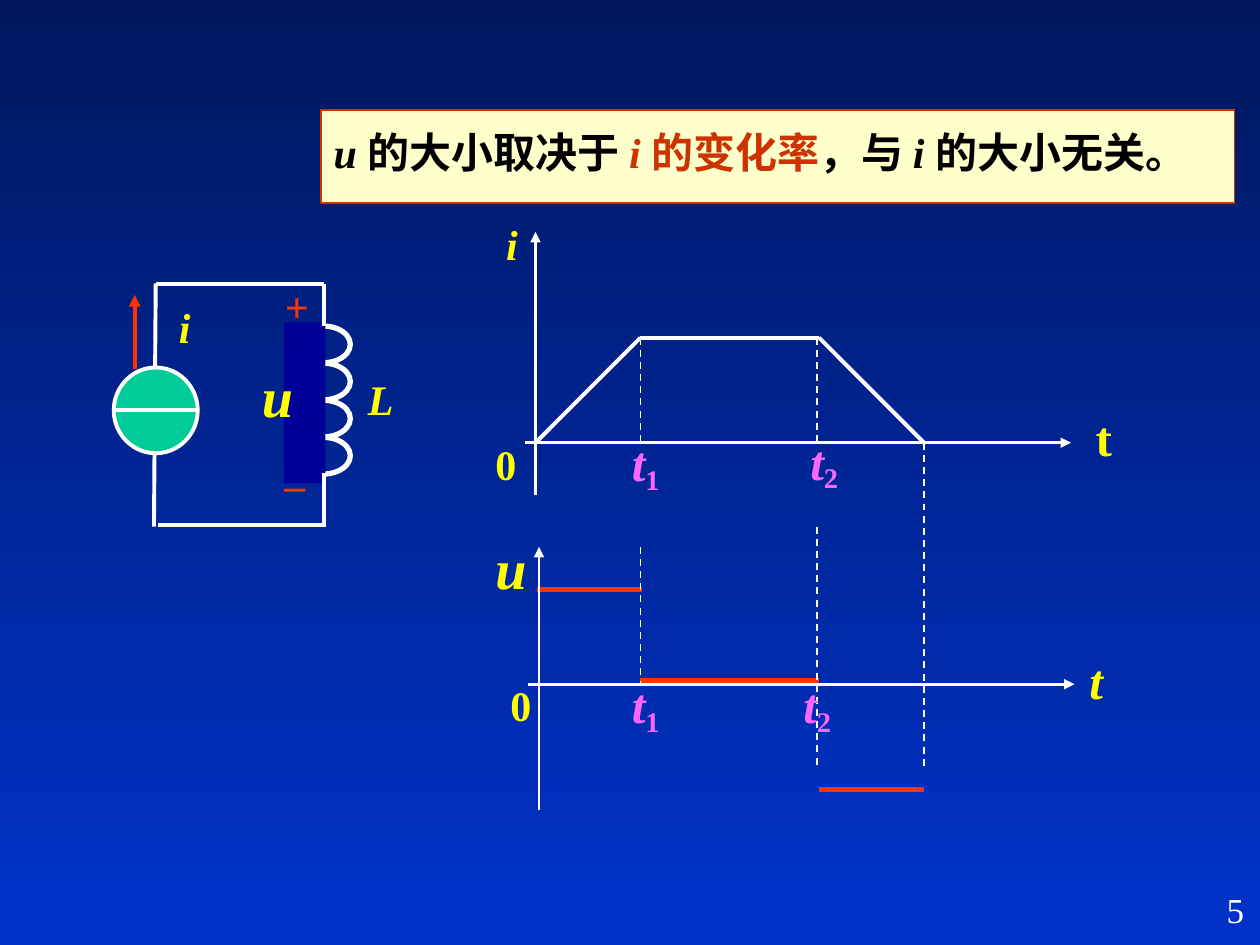
import pptx
import pptx.dml.color
import pptx.enum.dml
import pptx.enum.shapes
import pptx.enum.text
import pptx.oxml.ns
import pptx.util
from lxml import etree

Pt = pptx.util.Pt
RGBColor = pptx.dml.color.RGBColor
Shape = pptx.enum.shapes.MSO_SHAPE
Align = pptx.enum.text.PP_ALIGN
Anchor = pptx.enum.text.MSO_ANCHOR
qn = pptx.oxml.ns.qn

NIGHT = RGBColor(0x00, 0x17, 0x5E)
BLUE = RGBColor(0x00, 0x33, 0xCC)
NAVY = RGBColor(0x00, 0x00, 0x99)
WHITE = RGBColor(0xFF, 0xFF, 0xFF)
BLACK = RGBColor(0x00, 0x00, 0x00)
CREAM = RGBColor(0xFF, 0xFF, 0xCC)
RUST = RGBColor(0xCC, 0x33, 0x00)
RED = RGBColor(0xFF, 0x33, 0x00)
GREEN = RGBColor(0x00, 0xCC, 0x99)
YELLOW = RGBColor(0xFF, 0xFF, 0x00)
PINK = RGBColor(0xFF, 0x66, 0xFF)


def write_span(para, text, size=24, color=YELLOW, bold=True, italic=False,
               baseline=None, font="Times New Roman"):
    span = para.add_run()
    span.text = text
    span.font.name = font
    span.font.size = Pt(size)
    span.font.bold = bold
    span.font.italic = italic
    span.font.color.rgb = color
    if baseline:
        span._r.get_or_add_rPr().set("baseline", str(baseline * 1000))


class Painter:
    def __init__(self, page):
        self.page = page

    def background(self, top, bottom):
        fill = self.page.background.fill
        fill.gradient()
        fill.gradient_angle = 270
        for stop, color, position in zip(fill.gradient_stops, (top, bottom), (0, 1)):
            stop.color.rgb = color
            stop.position = position

    def title(self, left, top, width, height, parts):
        box = self.page.shapes.title
        box.left, box.top, box.width, box.height = map(Pt, (left, top, width, height))
        box.fill.solid()
        box.fill.fore_color.rgb = CREAM
        box.line.color.rgb = RUST
        box.line.width = Pt(1)
        frame = box.text_frame
        frame.auto_size = pptx.enum.text.MSO_AUTO_SIZE.NONE
        frame.vertical_anchor = Anchor.MIDDLE
        frame.margin_right = Pt(24)
        para = frame.paragraphs[0]
        para.alignment = Align.LEFT
        para.line_spacing = 0.8
        for text, color, italic in parts:
            write_span(para, text, color=color, italic=italic)

    def shape(self, kind, left, top, width, height, fill=None, line=None, weight=2.25):
        box = self.page.shapes.add_shape(kind, Pt(left), Pt(top), Pt(width), Pt(height))
        box.shadow.inherit = False
        if fill is None:
            box.fill.background()
        else:
            box.fill.solid()
            box.fill.fore_color.rgb = fill
        if line is None:
            box.line.fill.background()
        else:
            box.line.color.rgb = line
            box.line.width = Pt(weight)

    def line(self, x1, y1, x2, y2, color=WHITE, weight=2.25, dashed=False, arrow=False):
        wire = self.page.shapes.add_connector(
            pptx.enum.shapes.MSO_CONNECTOR.STRAIGHT, Pt(x1), Pt(y1), Pt(x2), Pt(y2))
        wire.line.color.rgb = color
        wire.line.width = Pt(weight)
        if dashed:
            wire.line.dash_style = pptx.enum.dml.MSO_LINE.DASH
        if arrow:
            etree.SubElement(wire.line._get_or_add_ln(), qn("a:tailEnd"), type="triangle")
        etree.SubElement(wire._element.spPr, qn("a:effectLst"))

    def label(self, text, left, top, width, height, align=Align.CENTER,
              anchor=Anchor.MIDDLE, subscript=None, **style):
        box = self.page.shapes.add_textbox(Pt(left), Pt(top), Pt(width), Pt(height))
        frame = box.text_frame
        frame.word_wrap = align != Align.CENTER
        frame.vertical_anchor = anchor
        para = frame.paragraphs[0]
        para.alignment = align
        write_span(para, text, **style)
        if subscript:
            write_span(para, subscript, **{**style, "italic": False, "baseline": -18})


def draw_circuit(painter):
    painter.line(89, 162, 88, 301)
    painter.line(89, 162.3, 185, 162.3)
    painter.shape(Shape.OVAL, 65, 210, 48, 49, fill=GREEN, line=WHITE)
    painter.line(65, 234.3, 113, 234.3)
    painter.line(90, 300, 186, 300)
    for turn in range(4):
        painter.shape(Shape.OVAL, 169.2, 186.3 + 21.2 * turn, 31, 21, line=WHITE, weight=3)
    painter.shape(Shape.RECTANGLE, 162.2, 184.3, 23.8, 92, fill=NAVY)
    painter.line(185, 301, 185, 270)
    painter.line(185, 186.5, 185, 162)
    painter.label("L", 203, 210, 29, 36, italic=True)
    painter.label("i", 95, 168.5, 21, 36, italic=True)
    painter.label("u", 142.5, 202.5, 32, 46, size=32, italic=True)
    painter.label("+", 155.5, 156.5, 28, 36, color=RED, italic=True)
    painter.label("–", 155.5, 258.5, 26, 36, color=RED, italic=True)
    painter.line(77, 211, 77, 168.5, color=RED, arrow=True)


def draw_plots(painter):
    start, rise, fall, end = 306, 366, 468, 528
    base, peak = 253, 193
    lower_base = 391

    painter.line(300, base, 612, base, weight=1.5, arrow=True)
    painter.line(start, 283, start, 132.5, weight=1.5, arrow=True)
    corners = [(start, base), (rise, peak), (fall, peak), (end, base)]
    for first, second in zip(corners, corners[1:]):
        painter.line(*first, *second)

    for left, right, level in ((start + 1, rise + 1, 337), (rise, fall, 389), (fall, end, 451)):
        painter.line(left, level, right, level, color=RED, weight=3)

    painter.line(308, 463, 308, 312.5, weight=1.5, arrow=True)
    painter.line(302, lower_base, 614, lower_base, weight=1.5, arrow=True)

    for x, top, bottom in ((rise, peak, base), (fall - 1, peak, base),
                           (rise, 312.5, lower_base), (fall - 1, 301, 438.5),
                           (end, base, 438.5)):
        painter.line(x, top, x, bottom, weight=1, dashed=True)

    painter.label("i", 282, 121, 21, 36, italic=True)
    painter.label("u", 276, 301, 32, 46, size=32, italic=True)
    painter.label("t", 619, 229, 36, 41, align=Align.LEFT, size=28)
    painter.label("t", 615.5, 368, 36, 41, align=Align.LEFT, size=28, italic=True)
    for left, top in ((276, 247), (284.5, 384.5)):
        painter.label("0", left, top, 30, 36, align=Align.LEFT)
    for number, left, top in (("1", 354, 243.5), ("2", 456, 242.5),
                              ("1", 354, 381.5), ("2", 452, 381.5)):
        painter.label("t", left, top, 36, 44, align=Align.LEFT, subscript=number,
                      size=28, color=PINK, italic=True)


def main():
    deck = pptx.Presentation()
    deck.slide_width, deck.slide_height = Pt(720), Pt(540)
    painter = Painter(deck.slides.add_slide(deck.slide_layouts[5]))
    painter.background(NIGHT, BLUE)
    draw_circuit(painter)
    draw_plots(painter)
    painter.title(183.5, 63, 522, 53, [
        ("u ", BLACK, True), ("的大小取决于 ", BLACK, False),
        ("i ", RUST, True), ("的变化率", RUST, False),
        ("，与 ", BLACK, False), ("i ", BLACK, True), ("的大小无关。", BLACK, False)])
    painter.label("5", 568, 504, 150, 36, align=Align.RIGHT, anchor=Anchor.TOP,
                  size=20, color=WHITE, bold=False)
    deck.save("out.pptx")


if __name__ == "__main__":
    main()
